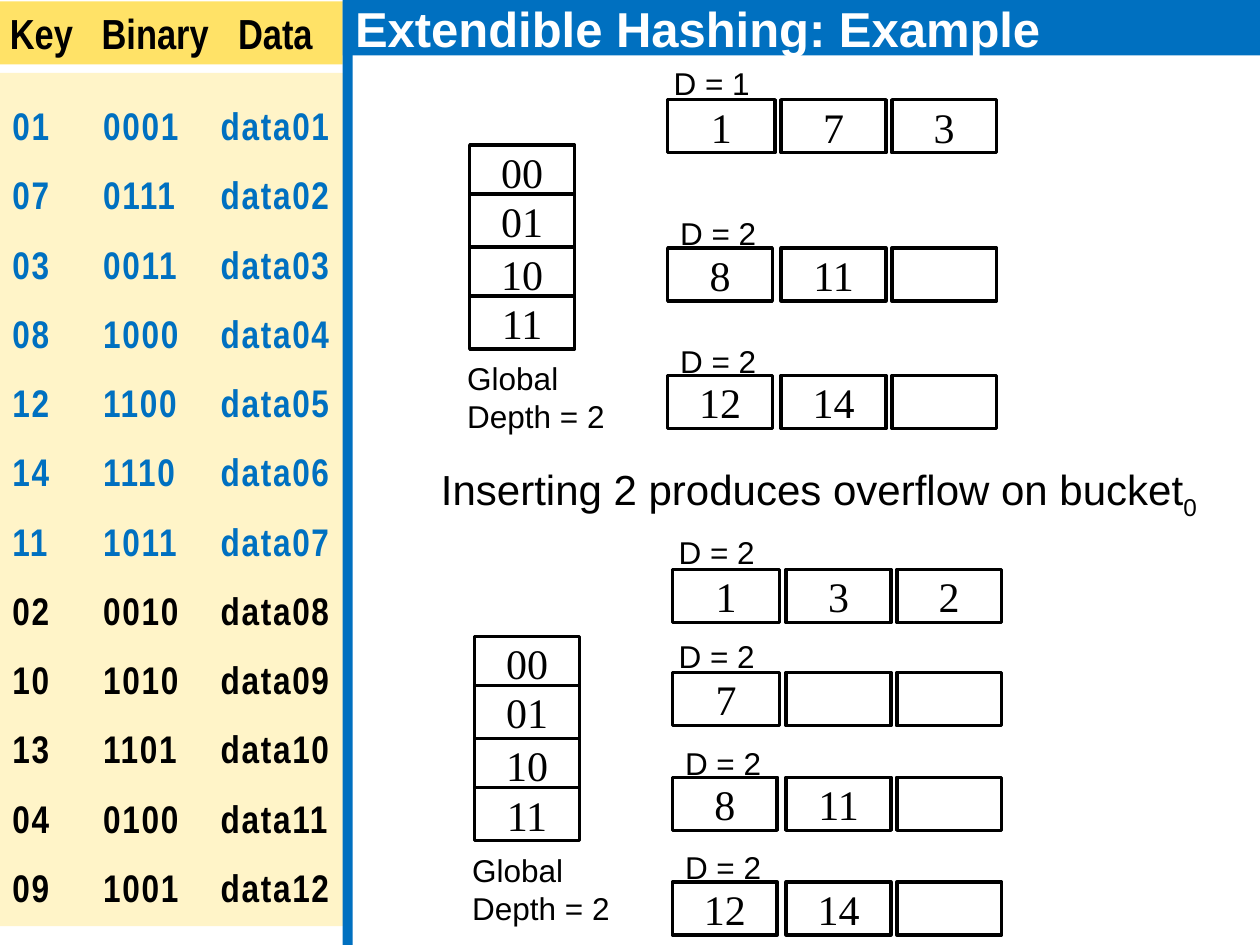
import pptx
import pptx.dml.color
import pptx.enum.shapes
import pptx.enum.text
import pptx.oxml
import pptx.oxml.ns
import pptx.util
from pptx.util import Cm

COLORS = {"blue": "0070C0", "cream": "FFF4C8", "yellow": "FFE267",
          "white": "FFFFFF", "black": "000000"}
ALIGN = pptx.enum.text.PP_ALIGN
ANCHOR = pptx.enum.text.MSO_ANCHOR

TITLE = "Extendible Hashing: Example"
HEADER = ("Key", "Binary", "Data")
HEADER_TABS = (1.85, 4.6)
RECORDS = [
    ("01", "0001", "data01"), ("07", "0111", "data02"), ("03", "0011", "data03"),
    ("08", "1000", "data04"), ("12", "1100", "data05"), ("14", "1110", "data06"),
    ("11", "1011", "data07"), ("02", "0010", "data08"), ("10", "1010", "data09"),
    ("13", "1101", "data10"), ("04", "0100", "data11"), ("09", "1001", "data12"),
]
RECORD_TABS = (1.83, 4.2)
INSERTED = 7  # records already in the table, shown in blue
MESSAGE = ("Inserting 2 produces overflow on bucket", "0")
GLOBAL_DEPTH = "Global Depth = 2"
DIRECTORY = ("00", "01", "10", "11")
DIRECTORY_OFFSETS = (0, 0.99, 2.06, 3.05)

# Each state: directory left and top, then buckets as
# (top, label, values, whether it is a bucket for keys starting with 0)
STATES = [
    (9.47, 2.92, [
        (2.01, "D = 1", ("1", "7", "3"), True),
        (5.0, "D = 2", ("8", "11", ""), False),
        (7.57, "D = 2", ("12", "14", ""), False),
    ]),
    (9.57, 12.83, [
        (11.48, "D = 2", ("1", "3", "2"), True),
        (13.56, "D = 2", ("7", "", ""), True),
        (15.67, "D = 2", ("8", "11", ""), False),
        (17.78, "D = 2", ("12", "14", ""), False),
    ]),
]
CELL_WIDTH, WIDE_CELL_WIDTH, CELL_HEIGHT = 2.11, 2.16, 1.07
BUCKET_OFFSET = 3.99
BUCKET_COLUMNS = (0, 2.29, 4.52)


def color(name):
    return pptx.dml.color.RGBColor.from_string(COLORS[name])


def add_run(paragraph, text, size, font="Arial", fill="black", bold=False, **attributes):
    """Extra attributes, such as spc and baseline, go on the run properties."""
    run = paragraph.add_run()
    run.text = text
    run.font.size = pptx.util.Pt(size)
    run.font.name = font
    run.font.bold = bold
    run.font.color.rgb = color(fill)
    for name, value in attributes.items():
        run._r.get_or_add_rPr().set(name, value)


def add_tabs(paragraph, positions):
    properties = paragraph._p.get_or_add_pPr()
    tabs = pptx.oxml.parse_xml(f"<a:tabLst {pptx.oxml.ns.nsdecls('a')}/>")
    for position in positions:
        tabs.append(pptx.oxml.parse_xml(
            f"<a:tab {pptx.oxml.ns.nsdecls('a')} pos=\"{Cm(position)}\" algn=\"l\"/>"))
    properties.append(tabs)


def add_rectangle(slide, left, top, width, height, fill, line=None, anchor=ANCHOR.TOP):
    shape = slide.shapes.add_shape(pptx.enum.shapes.MSO_SHAPE.RECTANGLE,
                                   Cm(left), Cm(top), Cm(width), Cm(height))
    shape.shadow.inherit = False
    shape.fill.solid()
    shape.fill.fore_color.rgb = color(fill)
    if line:
        shape.line.color.rgb = color(line)
        shape.line.width = pptx.util.Pt(2)
    else:
        shape.line.fill.background()
    shape.text_frame.vertical_anchor = anchor
    shape.text_frame.paragraphs[0].alignment = ALIGN.LEFT
    return shape


def add_cell(slide, left, top, text, width=CELL_WIDTH):
    shape = add_rectangle(slide, left, top, width, CELL_HEIGHT, "white", "black", ANCHOR.MIDDLE)
    shape.text_frame.word_wrap = False
    if text:
        paragraph = shape.text_frame.paragraphs[0]
        paragraph.alignment = ALIGN.CENTER
        add_run(paragraph, text, 24, "Times New Roman")


def add_label(slide, left, top, width, height):
    """Add a wrapping, justified text box and return its paragraph."""
    box = slide.shapes.add_textbox(Cm(left), Cm(top), Cm(width), Cm(height))
    box.text_frame.word_wrap = True
    paragraph = box.text_frame.paragraphs[0]
    paragraph.alignment = ALIGN.JUSTIFY
    return paragraph


def add_records(slide):
    frame = add_rectangle(slide, 0, 1.47, 7.01, 17.2, "cream").text_frame
    for index, record in enumerate(RECORDS):
        paragraph = frame.add_paragraph() if index else frame.paragraphs[0]
        paragraph.alignment = ALIGN.LEFT
        paragraph.line_spacing = 1.5
        add_tabs(paragraph, RECORD_TABS)
        fill = "blue" if index < INSERTED else "black"
        add_run(paragraph, "\t".join(record), 22, "Arial Narrow", fill, True, spc="100")

    header = add_rectangle(slide, -0.05, 0.03, 6.96, 1.27, "yellow")
    paragraph = header.text_frame.paragraphs[0]
    add_tabs(paragraph, HEADER_TABS)
    add_run(paragraph, "\t".join(HEADER), 24, "Arial Narrow", bold=True)


def add_state(slide, left, top, buckets):
    for offset, prefix in zip(DIRECTORY_OFFSETS, DIRECTORY):
        add_cell(slide, left, top + offset, prefix)
    add_run(add_label(slide, left - 0.3, top + 4.2, 3.89, 1.8), GLOBAL_DEPTH, 18)

    bucket_left = left + BUCKET_OFFSET
    for bucket_top, depth, values, starts_with_zero in buckets:
        shift, rise = (0.13, 0.85) if starts_with_zero else (0, 0.8)
        label = add_label(slide, bucket_left - shift, bucket_top - rise, 2.46, 1.02)
        add_run(label, depth, 18)
        for column, (offset, value) in enumerate(zip(BUCKET_COLUMNS, values)):
            wide = starts_with_zero and column == 0
            add_cell(slide, bucket_left + offset, bucket_top, value,
                     WIDE_CELL_WIDTH if wide else CELL_WIDTH)


def main():
    presentation = pptx.Presentation()
    presentation.slide_width, presentation.slide_height = Cm(25.4), Cm(19.05)
    slide = presentation.slides.add_slide(presentation.slide_layouts[6])

    title = add_rectangle(slide, 6.91, 0, 18.49, 1.12, "blue", anchor=ANCHOR.MIDDLE)
    add_run(title.text_frame.paragraphs[0], TITLE, 28, fill="white", bold=True)
    add_records(slide)
    add_rectangle(slide, 6.91, 0.03, 0.2, 19.05, "blue")

    message = add_label(slide, 8.64, 9.22, 16.54, 1.27)
    add_run(message, MESSAGE[0], 24)
    add_run(message, MESSAGE[1], 24, baseline="-25000")
    for state in STATES:
        add_state(slide, *state)

    presentation.save("out.pptx")


if __name__ == "__main__":
    main()
